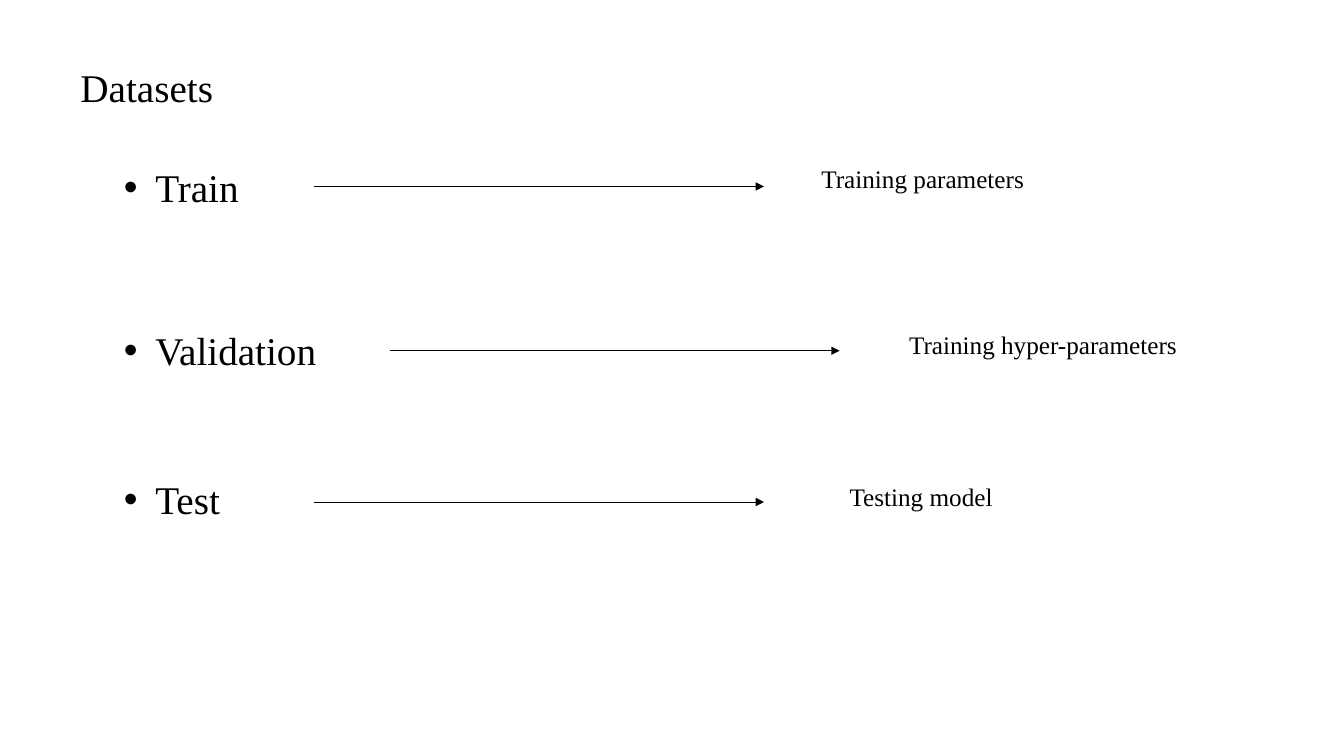
from lxml.etree import SubElement
from pptx import Presentation
from pptx.dml.color import RGBColor
from pptx.enum.shapes import MSO_CONNECTOR
from pptx.enum.text import MSO_AUTO_SIZE
from pptx.oxml.ns import qn
from pptx.util import Pt

FONT = "Times New Roman"
INK = "000000"
WIDE = 434.16
REACH = 321.12
ROWS = [
    ("Train", 113.04, 224.64, 133.2, "Training parameters", 579.6, 113.04),
    ("Validation", 229.68, 278.64, 250.56, "Training hyper-parameters", 642.24, 231.84),
    ("Test", 336.24, 224.64, 358.56, "Testing model", 599.76, 340.56),
]


def paint(target, code):
    target.rgb = RGBColor.from_string(code)


def add_text(slide, text, left, top, width, size, bullet=False):
    box = slide.shapes.add_textbox(Pt(left), Pt(top), Pt(width), Pt(size * 1.2 + 7.2))
    frame = box.text_frame
    frame.word_wrap = True
    frame.auto_size = MSO_AUTO_SIZE.SHAPE_TO_FIT_TEXT
    para = frame.paragraphs[0]
    if bullet:
        props = para._p.get_or_add_pPr()
        props.set("marL", str(Pt(22.5)))
        props.set("indent", str(Pt(-22.5)))
        SubElement(props, qn("a:buFont"), typeface="Arial")
        SubElement(props, qn("a:buChar"), char="•")
    run = para.add_run()
    run.text = text
    run.font.name = FONT
    run.font.size = Pt(size)
    paint(run.font.color, INK)


def add_arrow(slide, left, top):
    arrow = slide.shapes.add_connector(
        MSO_CONNECTOR.STRAIGHT, Pt(left), Pt(top), Pt(left + REACH), Pt(top)
    )
    arrow.line.width = Pt(0.5)
    paint(arrow.line.color, INK)
    SubElement(arrow.line._get_or_add_ln(), qn("a:tailEnd"), type="triangle")
    SubElement(arrow._element.spPr, qn("a:effectLst"))


def main():
    deck = Presentation()
    deck.slide_width = Pt(960)
    deck.slide_height = Pt(540)
    slide = deck.slides.add_slide(deck.slide_layouts[6])
    add_text(slide, "Datasets", 50.4, 41.76, WIDE, 28)
    for name, top, start, level, use, left, head in ROWS:
        add_text(slide, name, 81.36, top, WIDE, 28, bullet=True)
        add_arrow(slide, start, level)
        add_text(slide, use, left, head, 291.6, 18)
    deck.save("out.pptx")


if __name__ == "__main__":
    main()
